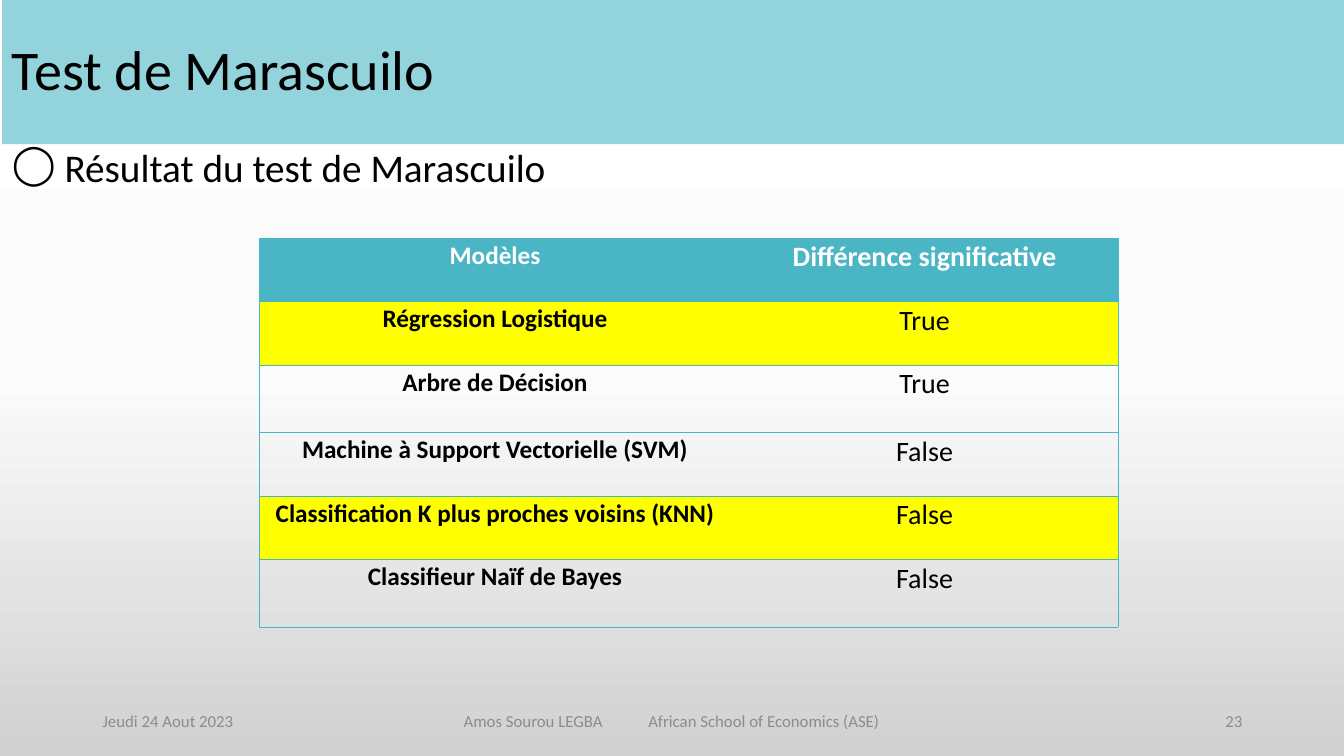
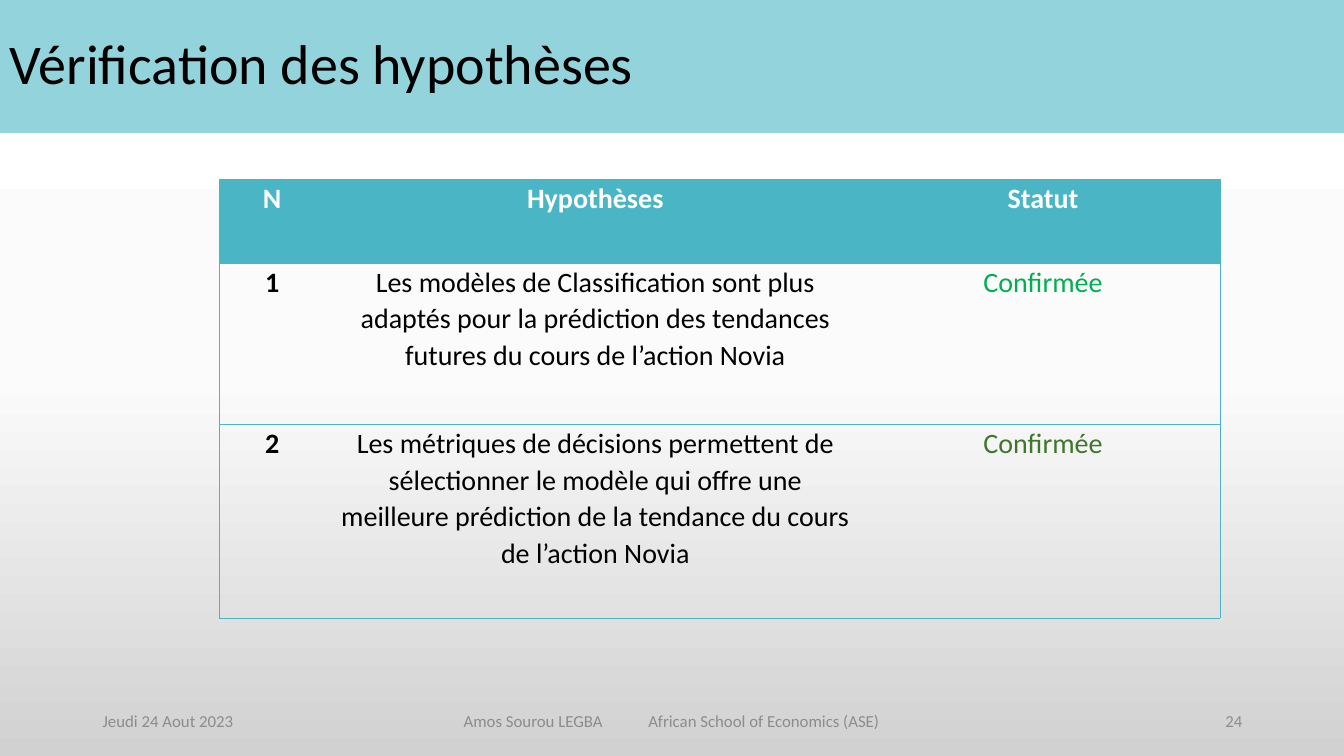
from copy import deepcopy

from lxml import etree
from pptx import Presentation
from pptx.dml.color import RGBColor
from pptx.enum import shapes, text
from pptx.oxml import ns
from pptx.util import Inches, Pt

COLORS = {
    "band": "92D3DC", "teal": "4AB5C4", "ink": "000000", "white": "FFFFFF",
    "footer": "8C8C8C", "highlight": "FFFF00", "green": "00B050", "olive": "3F762B",
}
BACKDROP = [(0, "FFFFFF"), (0.5, "FBFBFB"), (1, "D1D1D1")]
ALIGN = text.PP_ALIGN
FOOTERS = [
    ("Jeudi 24 Aout 2023", 0.92, 3, ALIGN.LEFT),
    ("Amos Sourou LEGBA", 4.5, 1.9, ALIGN.LEFT),
    ("African School of Economics (ASE)", 5.82, 3, ALIGN.RIGHT),
]


def rgb(name):
    return RGBColor.from_string(COLORS[name])


def set_values(target, values):
    for key, value in values.items():
        setattr(target, key, value)


class Deck:
    """Holds the shared style and the slide being filled."""

    font = "Calibri"
    cell_margins = {"margin_left": Inches(0.07), "margin_right": Inches(0.07),
                    "margin_top": 0, "margin_bottom": 0}

    def __init__(self):
        self.prs = Presentation()
        set_values(self.prs, {"slide_width": Inches(13.33), "slide_height": Inches(7.5)})
        self.slide = None
        self.paint_backdrop()

    def paint_backdrop(self):
        master = self.prs.slide_master
        fill = master.background.fill
        fill.gradient()
        fill.gradient_angle = 270
        stop_list = master.element.find(".//" + ns.qn("a:gsLst"))
        stop_list.append(deepcopy(stop_list[0]))
        for stop, (position, color) in zip(fill.gradient_stops, BACKDROP):
            stop.position = position
            stop.color.rgb = RGBColor.from_string(color)

    def new_slide(self, title, band, number):
        self.slide = self.prs.slides.add_slide(self.prs.slide_layouts[6])
        self.title(title, band)
        for words, left, width, align in FOOTERS + [(str(number), 9.42, 3, ALIGN.RIGHT)]:
            self.label(words, (left, 6.95, width, 0.4), 12, "footer", align,
                       text.MSO_ANCHOR.MIDDLE)

    def put_words(self, frame, words, size, color="ink", bold=False,
                  align=ALIGN.LEFT, spacing=1.0):
        paragraph = frame.paragraphs[0]
        set_values(paragraph, {"alignment": align, "line_spacing": spacing})
        run = paragraph.add_run()
        run.text = words
        set_values(run.font, {"name": self.font, "size": Pt(size), "bold": bold})
        run.font.color.rgb = rgb(color)
        return paragraph

    def title(self, words, band):
        bar = self.slide.shapes.add_shape(shapes.MSO_SHAPE.RECTANGLE, *map(Inches, band))
        bar.shadow.inherit = False
        bar.fill.solid()
        bar.fill.fore_color.rgb = rgb("band")
        bar.line.fill.background()
        bar.text_frame.vertical_anchor = text.MSO_ANCHOR.MIDDLE
        self.put_words(bar.text_frame, words, 40, spacing=0.9)

    def label(self, words, place, size, color="ink", align=ALIGN.LEFT,
              anchor=text.MSO_ANCHOR.TOP, spacing=1.0):
        frame = self.slide.shapes.add_textbox(*map(Inches, place)).text_frame
        set_values(frame, {"word_wrap": True, "vertical_anchor": anchor})
        return self.put_words(frame, words, size, color, align=align, spacing=spacing)

    def bullet(self, words, place):
        paragraph = self.label(words, place, 28, spacing=0.9)
        paragraph.space_before = Pt(10)
        props = paragraph._p.get_or_add_pPr()
        props.set("marL", str(Inches(0.25)))
        props.set("indent", str(Inches(-0.25)))
        etree.SubElement(props, ns.qn("a:buChar")).set("char", "◯")

    def table(self, left, top, widths, heights, rows, sizes, fills=None, inks=None):
        """Sizes go by column, fills by row, inks by (row, column)."""
        fills = {0: "teal", **(fills or {})}
        inks = inks or {}
        grid = self.slide.shapes.add_table(
            len(rows), len(widths),
            *map(Inches, (left, top, sum(widths), sum(heights)))).table
        set_values(grid, {"first_row": False, "horz_banding": False})
        for column, width in zip(grid.columns, widths):
            column.width = Inches(width)
        for r, (row, height) in enumerate(zip(rows, heights)):
            grid.rows[r].height = Inches(height)
            for c, words in enumerate(row):
                cell = grid.cell(r, c)
                set_values(cell, self.cell_margins)
                if r in fills:
                    cell.fill.solid()
                    cell.fill.fore_color.rgb = rgb(fills[r])
                else:
                    cell.fill.background()
                ink = inks.get((r, c), "ink" if r else "white")
                self.put_words(cell.text_frame, words, sizes[c], ink,
                               r == 0 or c == 0, ALIGN.CENTER, 1.07)
                self.borders(cell, first=c == 0, last=c == len(widths) - 1)

    def borders(self, cell, first, last):
        """Rule the rows and the outer sides, leaving inner columns open."""
        props = cell._tc.get_or_add_tcPr()
        sides = {"lnL": first, "lnR": last, "lnT": True, "lnB": True}
        for place, (side, drawn) in enumerate(sides.items()):
            line = etree.Element(ns.qn("a:" + side), w=str(Pt(0.5)))
            paint = etree.SubElement(line, ns.qn("a:solidFill" if drawn else "a:noFill"))
            if drawn:
                etree.SubElement(paint, ns.qn("a:srgbClr"), val=COLORS["teal"])
            props.insert(place, line)


def main():
    deck = Deck()

    deck.new_slide("Test de Marascuilo", (0.02, 0, 13.32, 1.43), 23)
    deck.bullet(" Résultat du test de Marascuilo", (0.02, 1.43, 13.32, 5.32))
    models = [
        ("Modèles", "Différence significative"),
        ("Régression Logistique", "True"),
        ("Arbre de Décision", "True"),
        ("Machine à Support Vectorielle (SVM)", "False"),
        ("Classification K plus proches voisins (KNN)", "False"),
        ("Classifieur Naïf de Bayes", "False"),
    ]
    deck.table(2.57, 2.36, [4.68, 3.84], [0.63, 0.63, 0.67] * 2, models, [18, 20],
               fills={1: "highlight", 4: "highlight"})

    deck.new_slide("Vérification des hypothèses", (0, 0, 13.33, 1.32), 24)
    hypotheses = [
        ("N", "Hypothèses", "Statut"),
        ("1", "Les modèles de Classification sont plus adaptés pour la prédiction "
              "des tendances futures du cours de l’action Novia", "Confirmée"),
        ("2", "Les métriques de décisions permettent de sélectionner le modèle qui offre "
              "une meilleure prédiction de la tendance du cours de l’action Novia",
         "Confirmée"),
    ]
    deck.table(2.18, 1.78, [1.04, 5.37, 3.51], [0.83, 1.6, 1.92], hypotheses, [20] * 3,
               inks={(1, 2): "green", (2, 2): "olive"})

    deck.prs.save("out.pptx")


if __name__ == "__main__":
    main()
